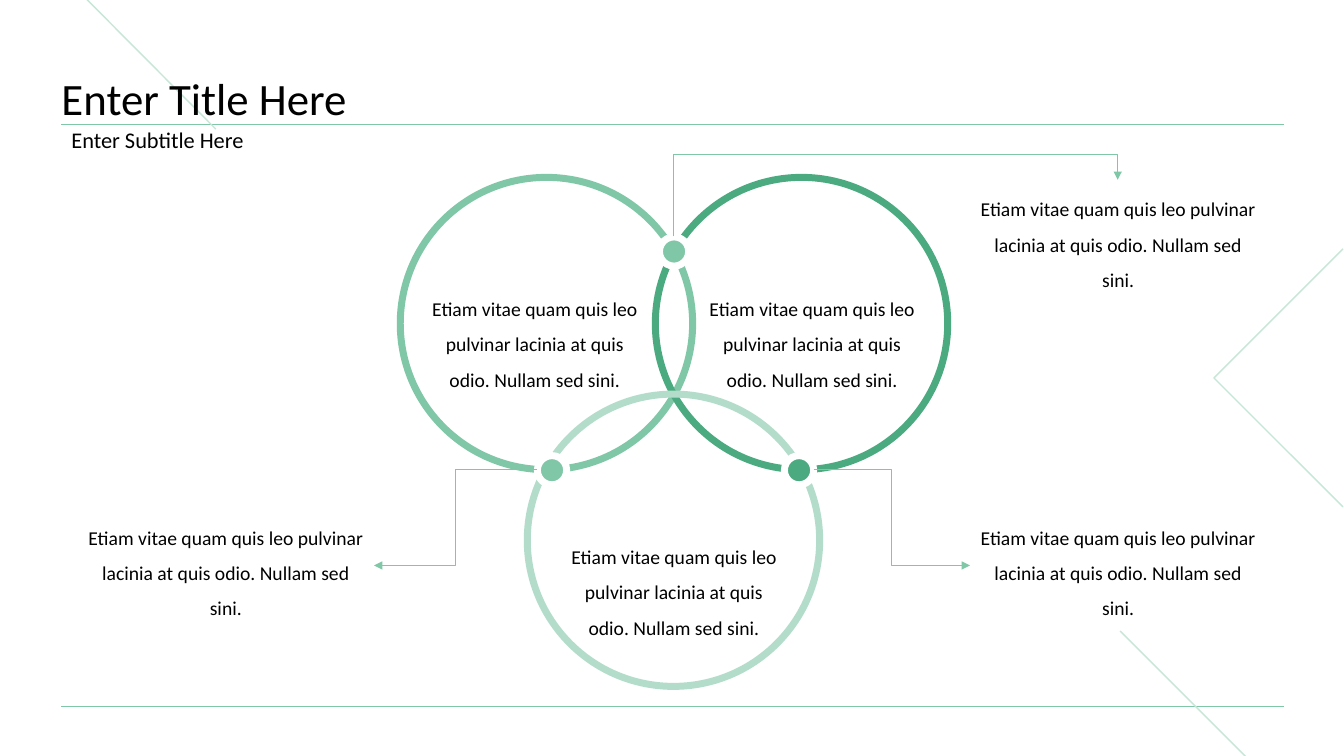
"""Build a slide of three linked rings with callouts."""
from lxml import etree
from pptx import Presentation
from pptx import util as u
from pptx.dml.color import RGBColor
from pptx.enum import shapes, text
from pptx.oxml.ns import qn

MINT, GREEN, PALE, FAINT = "80C7A7", "4BAA7F", "B3DDCA", "C6E6D7"
WHITE, BLACK = "FFFFFF", "000000"
BODY = "Etiam vitae quam quis leo pulvinar lacinia at quis odio. Nullam sed sini."
RING, DOT, HIGH = 2.9, 0.29, 1.12

lines = [
    ((0.61, 7.01), (12.73, 7.01), MINT, 0.5),
    ((0.61, 1.23), (12.73, 1.23), MINT, 0.5),
    ((11.11, 6.26), (12.98, 8.13), FAINT, 1),
    ((0.28, -0.59), (2.14, 1.28), FAINT, 1),
]
wedge = [(13.32, 2.47), (12.04, 3.75), (13.32, 5.03)]
rings = [(3.97, 1.76, MINT), (6.5, 1.76, GREEN), (5.23, 3.91, PALE)]
dots = [(5.33, 4.52, MINT), (7.78, 4.52, GREEN), (6.54, 2.35, MINT)]
notes = [
    (4.18, 2.78, 2.25), (5.56, 5.24, 2.25), (6.93, 2.78, 2.25),
    (0.77, 5.05, 2.94), (9.62, 1.79, 2.94), (9.62, 5.05, 2.94),
]
bends = [
    ((5.33, 4.66), (3.71, 5.61), 0, 0.5),
    ((8.07, 4.66), (9.62, 5.61), 0, 0.5),
    ((9.16, 4.27), (8.6, -0.14), 90, 1.445),
]

deck = Presentation()
deck.slide_width, deck.slide_height = u.Inches(13.33), u.Inches(7.5)
slide = deck.slides.add_slide(deck.slide_layouts[6])
tree = slide.shapes


def paint(part, tint):
    part.solid()
    part.fore_color.rgb = RGBColor.from_string(tint)


def edge(shape, tint, wide):
    paint(shape.line.fill, tint)
    shape.line.width = u.Pt(wide)


def link(kind, start, end, tint, wide):
    line = tree.add_connector(kind, *map(u.Inches, start + end))
    edge(line, tint, wide)
    etree.SubElement(line._element.spPr, qn("a:effectLst"))
    return line


def bend(start, end, turn, mid):
    line = link(shapes.MSO_CONNECTOR.ELBOW, start, end, MINT, 0.5)
    props = line._element.spPr
    props.find(qn("a:xfrm")).set("rot", str(turn * 60000))
    geom = props.find(qn("a:prstGeom"))
    guides = geom.find(qn("a:avLst"))
    if guides is None:
        guides = etree.SubElement(geom, qn("a:avLst"))
    etree.SubElement(guides, qn("a:gd"), name="adj1", fmla=f"val {round(mid * 100000)}")
    etree.SubElement(props.find(qn("a:ln")), qn("a:tailEnd"), type="triangle")


def disc(left, top, size, tint, fill=None):
    shape = tree.add_shape(shapes.MSO_SHAPE.OVAL, *map(u.Inches, (left, top, size, size)))
    shape.shadow.inherit = False
    edge(shape, tint, 5)
    if fill:
        paint(shape.fill, fill)
    else:
        shape.fill.background()


def write(words, place, size, gap, align, anchor, inset=True):
    frame = tree.add_textbox(*map(u.Inches, place)).text_frame
    frame.word_wrap = True
    frame.vertical_anchor = anchor
    if not inset:
        frame.margin_left = frame.margin_right = frame.margin_top = frame.margin_bottom = 0
    para = frame.paragraphs[0]
    para.text = words
    para.alignment, para.line_spacing = align, gap
    para.font.name, para.font.size = "Calibri", u.Pt(size)
    paint(para.font.fill, BLACK)


for line in lines:
    link(shapes.MSO_CONNECTOR.STRAIGHT, *line)

pen = tree.build_freeform(*map(u.Inches, wedge[0]))
pen.add_line_segments([tuple(map(u.Inches, spot)) for spot in wedge[1:]], close=False)
angle = pen.convert_to_shape()
angle.shadow.inherit = False
angle.fill.background()
edge(angle, FAINT, 1)

side, mid = text.PP_ALIGN, text.MSO_ANCHOR
write("Enter Title Here", (0.61, 0.44, 12.12, 0.8), 32, 0.9, side.LEFT, mid.BOTTOM, False)
write("Enter Subtitle Here", (0.61, 1.23, 12.12, 0.34), 16, 0.9, side.LEFT, mid.MIDDLE)

for left, top, tint in rings:
    disc(left, top, RING, tint)
for left, top, tint in dots:
    disc(left, top, DOT, WHITE, tint)
for place in notes:
    write(BODY, place + (HIGH,), 14, 1.5, side.CENTER, mid.TOP)
for path in bends:
    bend(*path)

deck.save("out.pptx")
